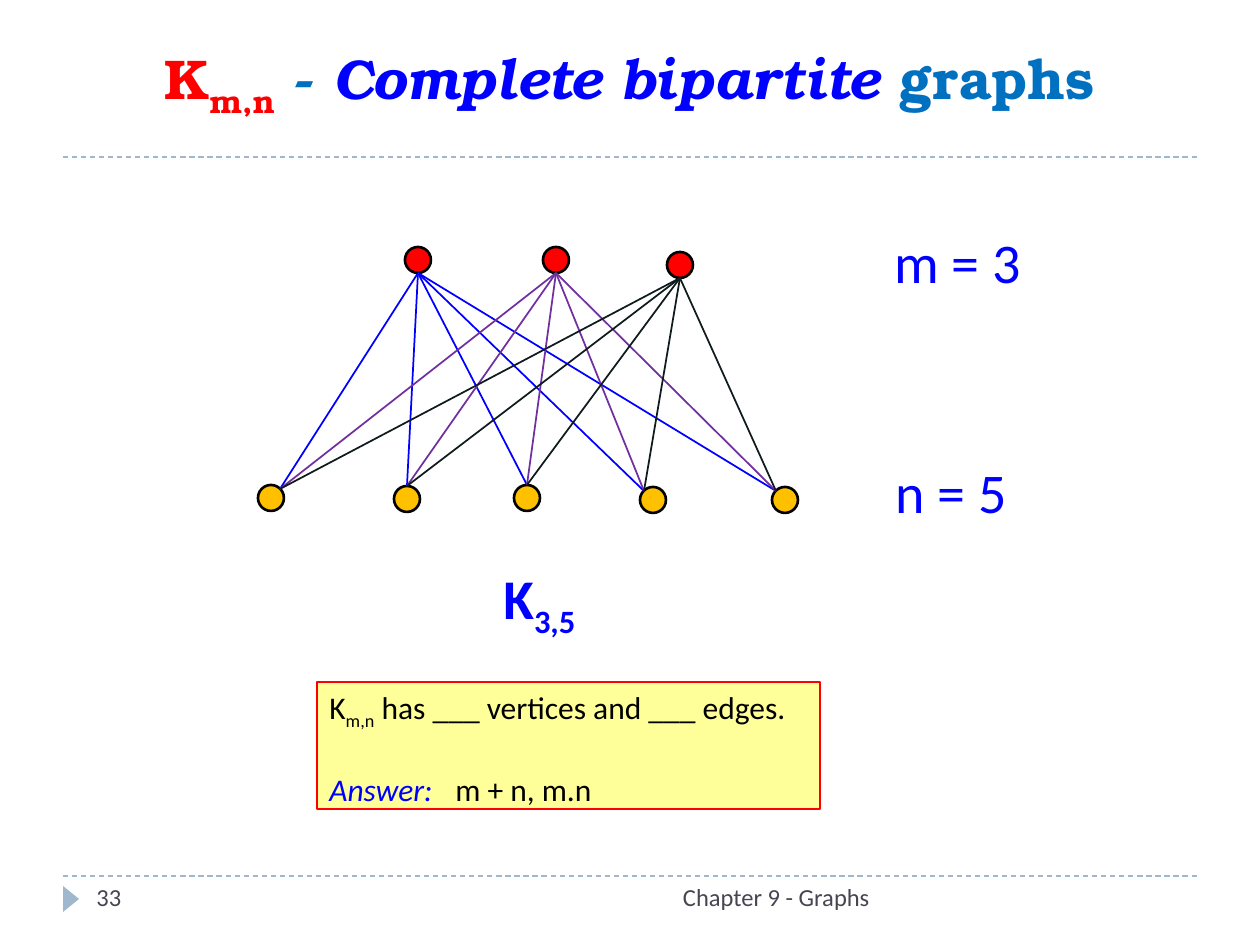
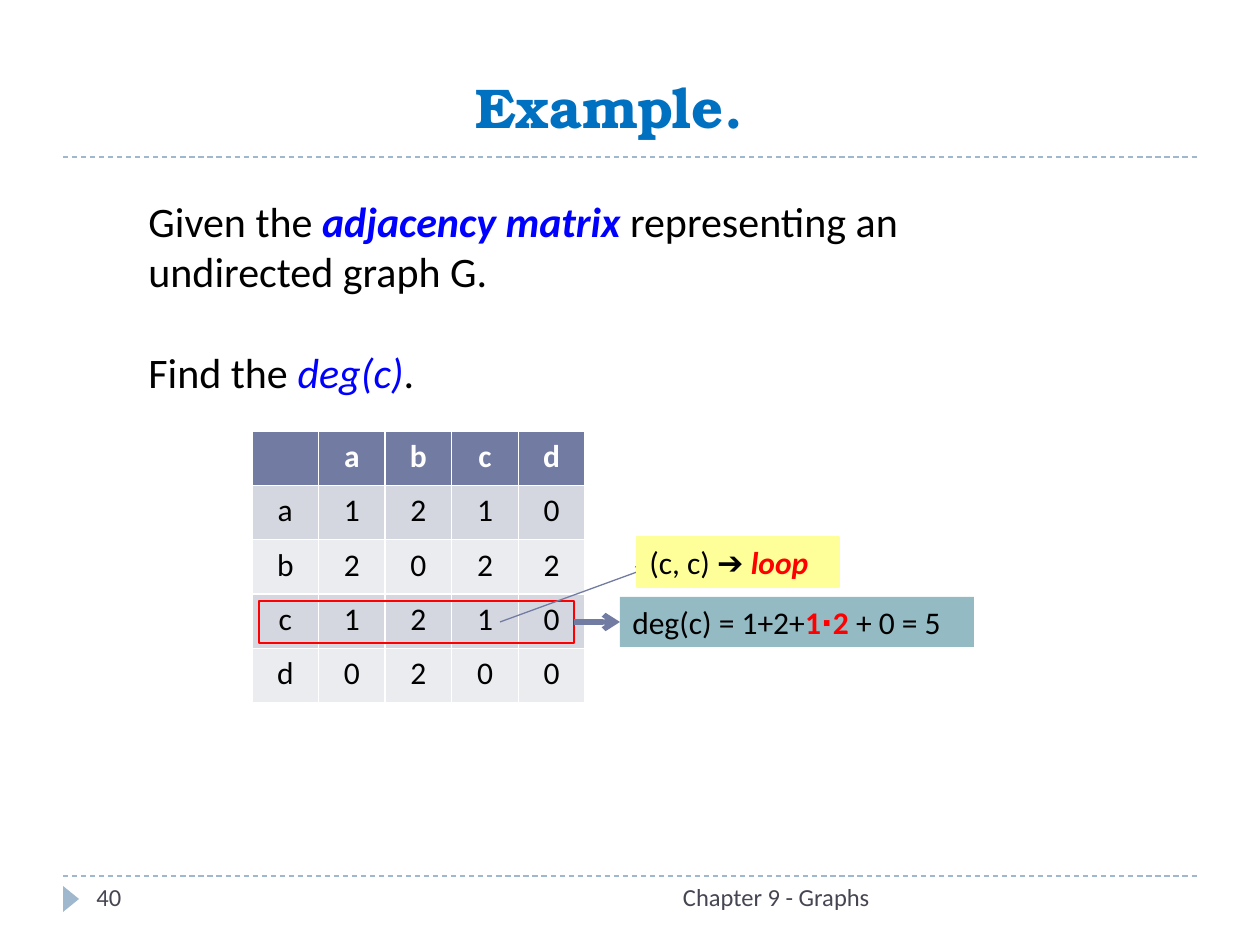
"""Build two graph-theory slides: a complete bipartite graph and an adjacency matrix."""
from dataclasses import dataclass

from lxml import etree
from pptx import Presentation
from pptx import util as u
from pptx.dml import color
from pptx.enum import dml, shapes, text
from pptx.oxml import ns

SCALE = 914400 / 126


@dataclass(frozen=True)
class Theme:
    """Fonts, type sizes in points and colours."""
    body: str = "Calibri"
    heading: str = "TeX Gyre Bonum"
    title_size: int = 32
    label_size: int = 32
    text_size: int = 24
    note_size: int = 18
    footer_size: int = 14
    text_gap: int = 29
    note_gap: int = 22
    black: str = "000000"
    white: str = "FFFFFF"
    blue: str = "0000FF"
    red: str = "FF0000"
    title: str = "0070C0"
    footer: str = "464653"
    rule: str = "9FB8CD"
    yellow: str = "FFFF99"
    teal: str = "94BAC3"
    amber: str = "FFC000"
    purple: str = "7030A0"
    ink: str = "101B1D"
    slate: str = "727CA3"
    bands: tuple = ("D5D7E0", "EBECF0")


T = Theme()


def px(n):
    """Turn px into EMU."""
    return u.Emu(round(n * SCALE))


def rgb(value):
    """Turn a hex string into a colour."""
    return color.RGBColor.from_string(value)


def add_run(p, words, size, fill=T.black, font=T.body, bold=False, italic=False, sub=False):
    """Add one styled run to a paragraph."""
    r = p.add_run()
    r.text = words
    r.font.name, r.font.size = font, u.Pt(size)
    r.font.bold, r.font.italic = bold, italic
    r.font.color.rgb = rgb(fill)
    if sub:
        r.font._element.set("baseline", "-25000")


def write(sp, paras, size, align=text.PP_ALIGN.LEFT, anchor=text.MSO_ANCHOR.TOP,
          wrap=False, gaps=None, font=T.body):
    """Fill a shape with paragraphs of (words, style) runs; gaps maps index to space before."""
    tf = sp.text_frame
    tf.word_wrap, tf.vertical_anchor = wrap, anchor
    if not wrap:
        tf.auto_size = text.MSO_AUTO_SIZE.SHAPE_TO_FIT_TEXT
    for i, runs in enumerate(paras):
        p = tf.add_paragraph() if i else tf.paragraphs[0]
        p.alignment = align
        if gaps and i in gaps:
            p.space_before = u.Pt(gaps[i])
        for words, style in runs:
            add_run(p, words, size, **{"font": font, **style})


def add_text(s, box, paras, size, **options):
    """Add a text box."""
    write(s.shapes.add_textbox(*map(px, box)), paras, size, **options)


def add_shape(s, kind, box, fill=None, line=None, width=0.75):
    """Add a preset shape with an optional fill and outline."""
    sp = s.shapes.add_shape(kind, *map(px, box))
    sp.shadow.inherit = False
    if fill:
        sp.fill.solid()
        sp.fill.fore_color.rgb = rgb(fill)
    else:
        sp.fill.background()
    if line:
        sp.line.color.rgb = rgb(line)
        sp.line.width = u.Pt(width)
    else:
        sp.line.fill.background()
    return sp


def add_note(s, box, paras, fill, line=None, gaps=None):
    """Add a filled rectangle with note text."""
    sp = add_shape(s, shapes.MSO_SHAPE.RECTANGLE, box, fill, line)
    write(sp, paras, T.note_size, gaps=gaps)


def add_line(s, start, end, stroke, width, dash=False, arrow=False):
    """Add a straight connector, dashed or with an arrowhead on request."""
    ln = s.shapes.add_connector(shapes.MSO_CONNECTOR.STRAIGHT, *map(px, (*start, *end)))
    ln.line.color.rgb = rgb(stroke)
    ln.line.width = u.Pt(width)
    if dash:
        ln.line.dash_style = dml.MSO_LINE.DASH
    if arrow:
        etree.SubElement(ln.line._get_or_add_ln(), ns.qn("a:tailEnd"), type="arrow")
    etree.SubElement(ln._element.spPr, ns.qn("a:effectLst"))


def add_vertex(s, centre, fill, radius=13):
    """Add a round vertex around its centre."""
    x, y = centre
    box = (x - radius, y - radius, 2 * radius, 2 * radius)
    add_shape(s, shapes.MSO_SHAPE.FLOWCHART_CONNECTOR, box, fill, T.black, 1.5)


def add_matrix(s, box, names, values):
    """Add an adjacency matrix with named rows and columns."""
    rows = [["", *names]] + [[name, *row] for name, row in zip(names, values)]
    size = len(rows)
    tbl = s.shapes.add_table(size, size, *map(px, box)).table
    for i, row in enumerate(rows):
        for j, value in enumerate(row):
            cell = tbl.cell(i, j)
            cell.fill.solid()
            cell.fill.fore_color.rgb = rgb(T.bands[(i - 1) % 2] if i else T.slate)
            p = cell.text_frame.paragraphs[0]
            p.alignment = text.PP_ALIGN.CENTER
            if value != "":
                add_run(p, str(value), T.note_size, T.black if i else T.white, bold=i == 0)


def add_base(prs, number, title_box, title):
    """Add a slide with its rules, marker, title and footer."""
    s = prs.slides.add_slide(prs.slide_layouts[6])
    for y in (876, 157):
        add_line(s, (63, y), (1197, y), T.rule, 0.75, dash=True)
    marker = add_shape(s, shapes.MSO_SHAPE.ISOSCELES_TRIANGLE, (58, 891, 26, 16), T.rule)
    marker.rotation = 90
    add_text(s, title_box, [title], T.title_size, align=text.PP_ALIGN.CENTER,
             anchor=text.MSO_ANCHOR.BOTTOM, wrap=True, font=T.heading)
    footers = (((84, 876, 273, 50), str(number), text.PP_ALIGN.LEFT),
               ((399, 876, 483, 50), "Chapter 9 - Graphs", text.PP_ALIGN.RIGHT))
    for box, words, align in footers:
        add_text(s, box, [[(words, {"fill": T.footer})]], T.footer_size, align=align, wrap=True)
    return s


def build_bipartite(prs):
    """Build the complete bipartite graph slide."""
    s = add_base(prs, 33, (63, 0, 1134, 126), [
        ("K", {"fill": T.red, "bold": True}),
        ("m,n", {"fill": T.red, "bold": True, "sub": True}),
        (" - ", {"fill": T.title, "bold": True}),
        ("Complete bipartite ", {"fill": T.blue, "bold": True, "italic": True}),
        ("graphs", {"fill": T.title, "bold": True})])
    add_note(s, (317, 682, 503, 127), [
        [("K", {}), ("m,n", {"sub": True}), (" has ___ vertices and ___ edges.", {})],
        [("Answer: ", {"fill": T.blue, "italic": True}), ("\tm + n, m.n", {})],
    ], T.yellow, T.red, gaps={1: T.note_gap})

    upper = {(418, 260): T.blue, (556, 260): T.purple, (680, 265): T.ink}
    lower = {(271, 498): (9, -9), (407, 499): (0, -13), (527, 498): (0, -13),
             (653, 500): (-9, -9), (785, 500): (-9, -9)}
    for vertices, fill in ((upper, T.red), (lower, T.amber)):
        for centre in vertices:
            add_vertex(s, centre, fill)
    for (x, y), stroke in upper.items():
        for (end_x, end_y), (dx, dy) in lower.items():
            add_line(s, (x, y + 13), (end_x + dx, end_y + dy), stroke, 1)

    for box, words in (((882, 221, 161, 81), "m = 3"), ((883, 451, 146, 81), "n = 5")):
        add_text(s, box, [[(words, {"fill": T.blue})]], T.label_size)
    add_text(s, (491, 557, 117, 81), [[
        ("K", {"fill": T.blue, "bold": True}),
        ("3,5", {"fill": T.blue, "bold": True, "sub": True})]], T.label_size)


def build_example(prs):
    """Build the adjacency matrix example slide."""
    s = add_base(prs, 40, (135, 15, 968, 131),
                 [("Example. ", {"fill": T.title, "bold": True})])
    add_matrix(s, (252, 431, 333, 272), "abcd",
               [(1, 2, 1, 0), (2, 0, 2, 2), (1, 2, 1, 0), (0, 2, 0, 0)])
    add_text(s, (136, 189, 814, 217), [
        [("Given the ", {}),
         ("adjacency matrix ", {"fill": T.blue, "bold": True, "italic": True}),
         ("representing an", {})],
        [("undirected graph G.", {})],
        [("Find the ", {}), ("deg(c)", {"fill": T.blue, "italic": True}), (".", {})],
    ], T.text_size, gaps={2: T.text_gap})
    add_shape(s, shapes.MSO_SHAPE.RECTANGLE, (259, 601, 315, 42), line=T.red, width=1.5)
    add_line(s, (500, 622), (648, 568), T.slate, 0.75, arrow=True)
    add_note(s, (637, 537, 202, 50), [[
        ("(c, c) ➔ ", {}), ("loop", {"fill": T.red, "bold": True, "italic": True})]],
        T.yellow, T.yellow)
    add_note(s, (620, 597, 354, 50), [[
        ("deg(c) = 1+2+", {}), ("1⋅2 ", {"fill": T.red, "bold": True}), ("+ 0 = 5", {})]],
        T.teal)
    add_line(s, (574, 622), (620, 622), T.slate, 3, arrow=True)


def main():
    """Build and save the presentation."""
    prs = Presentation()
    prs.slide_width, prs.slide_height = px(1260), px(945)
    build_bipartite(prs)
    build_example(prs)
    prs.save("out.pptx")


if __name__ == "__main__":
    main()
